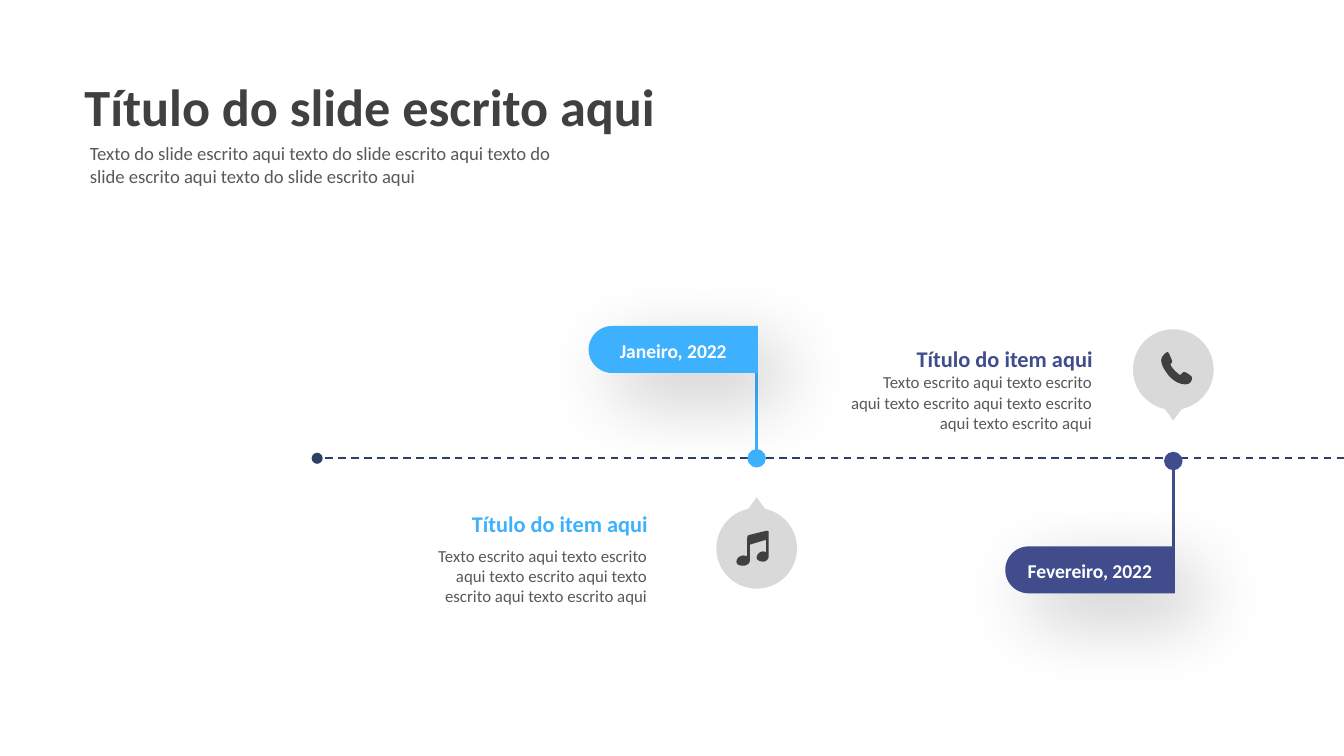
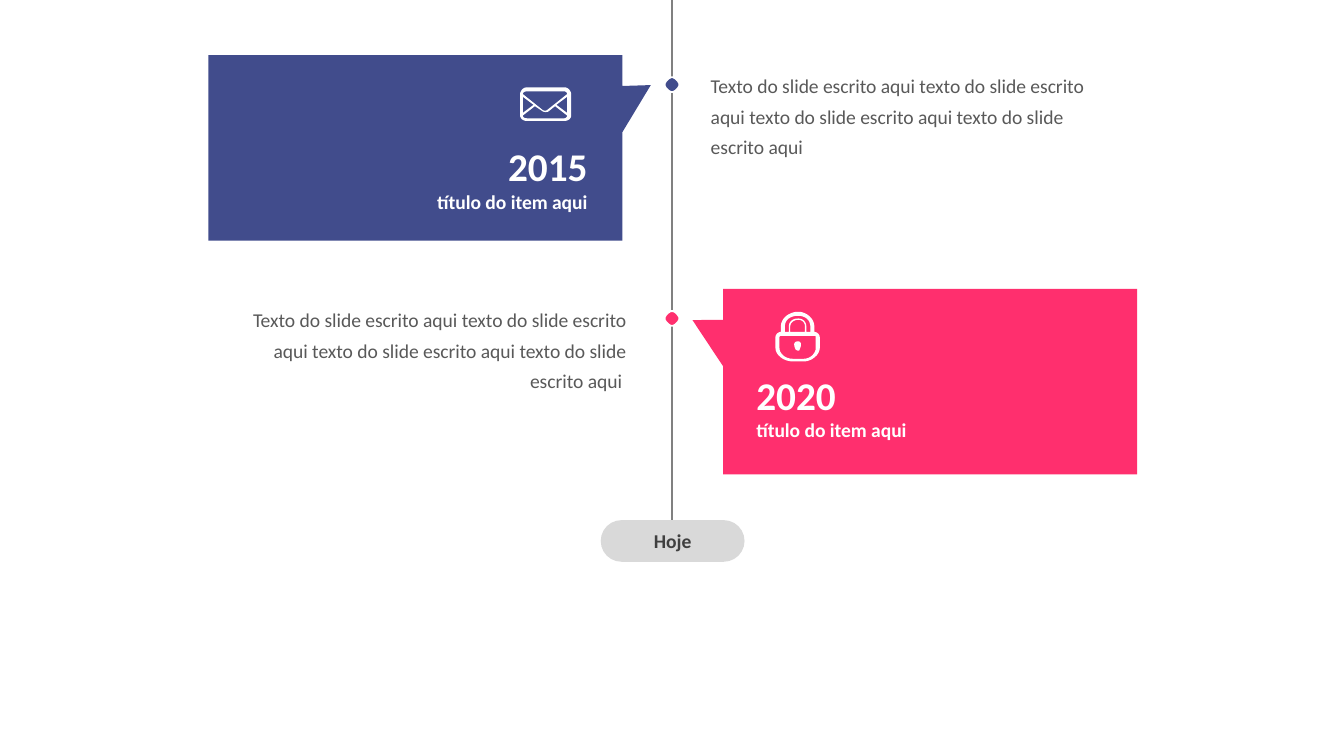
"""Build two timeline slides: a horizontal one by month and a vertical one by year."""
import dataclasses
import math

import pptx
import pptx.dml.color
import pptx.enum.dml
import pptx.enum.shapes
import pptx.enum.text
import pptx.oxml
import pptx.oxml.ns
import pptx.util

Inches = pptx.util.Inches
SHAPES = pptx.enum.shapes.MSO_SHAPE
ALIGN = pptx.enum.text.PP_ALIGN


@dataclasses.dataclass(frozen=True)
class Theme:
    font: str = "Calibri"
    white: str = "FFFFFF"
    dark: str = "404040"
    body: str = "595959"
    rail: str = "808080"
    pale: str = "D9D9D9"
    axis: str = "2C4166"
    sky: str = "3DB1FE"
    indigo: str = "414C8C"
    pink: str = "FF2F6E"
    title_size: float = 28
    year_size: float = 21
    item_size: float = 12
    label_size: float = 10.5
    lead_size: float = 10
    small_size: float = 9


THEME = Theme()

TITLE = "Título do slide escrito aqui"
LEAD = " ".join(["Texto do slide escrito aqui"] + ["texto do slide escrito aqui"] * 3)
ITEM_TITLE = "Título do item aqui"
ITEM_BODY = " ".join(["Texto escrito aqui"] + ["texto escrito aqui"] * 4)
CARD_TITLE = "título do item aqui"

# Outlines in hundredths of an inch: two numbers are a corner, six are a curve.
MUSIC = [
    "570 395, 558 398, 556 398 556 400 556 401, 556 414, 552 412 548 415 548 418,"
    "548 421 552 421 553 421, 556 421 558 419 558 417, 558 406, 558 405 559 405 559 405,"
    "569 402, 570 402, 570 411, 567 409 563 412 563 415, 563 417 566 418 568 418,"
    "570 418 572 416 572 414, 572 396, 572 395 571 395 570 395",
]
PHONE = [
    "887 281, 887 283 886 286 882 286, 877 286 873 283 870 280, 867 276 864 272 864 268,"
    "864 266 867 262 869 262, 870 263 871 266 872 268, 873 270 871 270 871 271,"
    "871 273 876 278 878 279, 879 279 880 276 882 277, 884 278 887 280 887 281",
]
ENVELOPE = [
    "420 65, 392 65, 389 65 387 68 387 70, 387 86, 387 88 389 90 392 90, 420 90,"
    "423 90 425 88 425 86, 425 70, 425 68 423 65 420 65",
    "404 82, 389 70, 389 69 390 68 392 68, 420 68, 421 68 422 69 422 70, 407 82,"
    "406 82.5 405 82.5 404 82",
    "422 84, 414 78, 422 72",
    "389 72, 397 78, 389 84",
    "422 86, 422 87 421 88 420 88, 392 88, 390 88 389 87 389 86, 398 79, 404 83,"
    "405 83.5 407 83.5 408 83, 413 79",
]
PADLOCK = [
    "606 247, 606 243, 606 237 600 232 594 232, 587 232 581 237 581 243, 581 247,"
    "579 247 577 249 577 251, 577 259, 577 264 583 269 590 269, 598 269,"
    "604 269 610 264 610 259, 610 251, 610 249 608 247 606 247",
    "607 251, 607 259, 607 263 603 267 598 267, 590 267, 584 267 580 263 580 259,"
    "580 251, 580 250 581 250 581 250, 606 250, 607 250 607 250 607 251",
    "599 243, 599 247, 588 247, 588 243, 588 240 591 238 594 238, 597 238 599 240 599 243",
    "584 243, 584 238 588 235 594 235, 599 235 603 238 603 243, 603 247, 600 247,"
    "600 243, 600 239 597 237 594 237, 590 237 587 239 587 243, 587 247, 584 247",
    "594 254, 592 254 591 255 591 256, 591 257 591 258 592 260, 592 260 593 261 594 261,"
    "595 261 595 260 595 260, 596 258 596 257 596 256, 596 255 595 254 594 254",
]

MONTHS = [
    dict(label="Janeiro, 2022", color=THEME.sky, x=5.63, flag_y=2.6, stem=(2.43, 3.41),
         pin_y=4.08, tip=-1, title=(3.29, 3.67), body=(2.96, 4.01, 1.95), icon=MUSIC),
    dict(label="Fevereiro, 2022", color=THEME.indigo, x=8.73, flag_y=4.24, stem=(4.41, 3.43),
         pin_y=2.75, tip=1, title=(6.6, 2.44), body=(6.23, 2.72, 1.99), icon=PHONE),
]
YEARS = [
    dict(year="2020", color=THEME.pink, card=(5.38, 2.15), pointer=(-0.574, -0.332),
         text_x=5.53, year_y=2.71, align=ALIGN.LEFT, text=LEAD + " ", body=(1.69, 2.19),
         body_align=ALIGN.RIGHT, dot_y=2.32, icon=PADLOCK),
    dict(year="2015", color=THEME.indigo, card=(1.55, 0.41), pointer=(0.569, -0.338),
         text_x=2.84, year_y=1.01, align=ALIGN.RIGHT, text=LEAD, body=(5.19, 0.45),
         body_align=ALIGN.LEFT, dot_y=0.58, icon=ENVELOPE),
]


def rgb(color):
    return pptx.dml.color.RGBColor.from_string(color)


def write(shape, text, size, color, bold=False, align=ALIGN.LEFT, spacing=None):
    shape.text_frame.word_wrap = True
    shape.text_frame.text = text
    paragraph = shape.text_frame.paragraphs[0]
    paragraph.alignment = align
    if spacing:
        paragraph.line_spacing = spacing
    font = paragraph.runs[0].font
    font.name, font.size, font.bold = THEME.font, pptx.util.Pt(size), bold
    font.color.rgb = rgb(color)


def add_text(slide, box, *args, **style):
    write(slide.shapes.add_textbox(*map(Inches, box)), *args, **style)


def paint(shape, color):
    shape.shadow.inherit = False
    shape.fill.solid()
    shape.fill.fore_color.rgb = rgb(color)
    shape.line.fill.background()


def add_preset(slide, kind, box, color, adjustments):
    shape = slide.shapes.add_shape(kind, *map(Inches, box))
    paint(shape, color)
    for index, value in enumerate(adjustments):
        shape.adjustments[index] = value
    return shape


def drawing_element(tag, attributes="", content=""):
    namespace = pptx.oxml.ns.nsdecls("a")
    return pptx.oxml.parse_xml(f"<a:{tag} {namespace} {attributes}>{content}</a:{tag}>")


def add_line(slide, ends, color, width, dot=None, dashed=False):
    connector = slide.shapes.add_connector(
        pptx.enum.shapes.MSO_CONNECTOR.STRAIGHT, *map(Inches, ends))
    connector.line.color.rgb = rgb(color)
    connector.line.width = pptx.util.Pt(width)
    if dashed:
        connector.line.dash_style = pptx.enum.dml.MSO_LINE.DASH
    if dot:
        connector.line._ln.append(
            drawing_element("tailEnd", f'type="oval" w="{dot}" len="{dot}"'))
    connector._element.spPr.append(drawing_element("effectLst"))


def add_outline(slide, contours, color):
    scaled = [[(Inches(x), Inches(y)) for x, y in contour] for contour in contours]
    builder = slide.shapes.build_freeform(*scaled[0][0], scale=1.0)
    for index, contour in enumerate(scaled):
        if index:
            builder.move_to(*contour[0])
        builder.add_line_segments(contour[1:], close=True)
    paint(builder.convert_to_shape(), color)


def trace(outline, steps=8):
    points = []
    for segment in outline.split(","):
        numbers = [float(number) / 100 for number in segment.split()]
        if len(numbers) == 2:
            points.append(tuple(numbers))
            continue
        controls = [points[-1], *zip(numbers[::2], numbers[1::2])]
        for step in range(1, steps + 1):
            t = step / steps
            weights = [math.comb(3, k) * t**k * (1 - t)**(3 - k) for k in range(4)]
            points.append(tuple(sum(weight * control[axis]
                                    for weight, control in zip(weights, controls))
                                for axis in (0, 1)))
    return points


def add_icon(slide, outlines, color):
    add_outline(slide, [trace(outline) for outline in outlines], color)


def add_pin(slide, x, y, tip, radius=0.3, reach=0.38):
    points = [(x, y + tip * reach)]
    for degrees in range(12, 349, 4):
        angle = math.radians(degrees)
        points.append((x + radius * math.sin(angle), y + tip * radius * math.cos(angle)))
    add_outline(slide, [points], THEME.pale)


def add_flag(slide, x, y, label, color):
    width, height, label_width = 0.35, 1.26, 1.23
    center = x - 0.62
    flag = add_preset(slide, SHAPES.ROUND_2_SAME_RECTANGLE,
                      (center - width / 2, y - height / 2, width, height), color, (0.5, 0))
    flag.rotation = 270
    effects = flag._element.spPr.find(pptx.oxml.ns.qn("a:effectLst"))
    effects.append(drawing_element(
        "outerShdw",
        f'blurRad="{pptx.util.Pt(40)}" dist="{pptx.util.Pt(18)}" dir="2700000" rotWithShape="0"',
        '<a:srgbClr val="000000"><a:alpha val="23000"/></a:srgbClr>'))
    add_text(slide, (center - label_width / 2, y - 0.13, label_width, 0.28), label,
             THEME.label_size, THEME.white, bold=True, align=ALIGN.CENTER)


def build_months(slide):
    add_line(slide, (10, 3.41, 2.36, 3.41), THEME.axis, 1, dot="med", dashed=True)
    for month in MONTHS:
        x, color = month["x"], month["color"]
        start, end = month["stem"]
        add_line(slide, (x, start, x, end), color, 1.5, dot="lg")
        add_flag(slide, x, month["flag_y"], month["label"], color)
        add_text(slide, (*month["title"], 1.63, 0.36), ITEM_TITLE, THEME.item_size, color,
                 bold=True, align=ALIGN.RIGHT, spacing=1.4)
        add_text(slide, (*month["body"], 0.47), ITEM_BODY, THEME.small_size, THEME.body,
                 align=ALIGN.RIGHT)
        add_pin(slide, x, month["pin_y"], month["tip"])
        add_icon(slide, month["icon"], THEME.dark)
    add_text(slide, (0.53, 0.5, 6.09, 0.57), TITLE, THEME.title_size, THEME.dark, bold=True)
    add_text(slide, (0.57, 1.01, 3.81, 0.44), LEAD, THEME.lead_size, THEME.body)


def build_years(slide):
    add_line(slide, (5, 0, 5, 3.87), THEME.rail, 1)
    for item in YEARS:
        color, align = item["color"], item["align"]
        add_preset(slide, SHAPES.RECTANGULAR_CALLOUT, (*item["card"], 3.08, 1.38), color,
                   item["pointer"])
        add_text(slide, (*item["body"], 3.07, 0.78), item["text"], THEME.label_size,
                 THEME.body, align=item["body_align"], spacing=1.3)
        dot = add_preset(slide, SHAPES.ROUNDED_RECTANGLE, (4.95, item["dot_y"], 0.1, 0.1),
                         color, (0.365,))
        dot.rotation = 45
        dot.line.color.rgb = rgb(THEME.white)
        dot.line.width = pptx.util.Pt(1)
        left, top = item["text_x"], item["year_y"]
        add_text(slide, (left, top + 0.3, 1.63, 0.32), CARD_TITLE, THEME.label_size,
                 THEME.white, bold=True, align=align, spacing=1.3)
        add_text(slide, (left, top, 1.63, 0.45), item["year"], THEME.year_size, THEME.white,
                 bold=True, align=align)
        add_icon(slide, item["icon"], THEME.white)
    today = add_preset(slide, SHAPES.ROUNDED_RECTANGLE, (4.47, 3.87, 1.07, 0.31), THEME.pale,
                       (0.5,))
    today.text_frame.vertical_anchor = pptx.enum.text.MSO_ANCHOR.MIDDLE
    write(today, "Hoje", THEME.label_size, THEME.dark, bold=True, align=ALIGN.CENTER)


def main():
    presentation = pptx.Presentation()
    presentation.slide_width = Inches(10)
    presentation.slide_height = presentation.slide_width * 9 // 16
    for build in (build_months, build_years):
        build(presentation.slides.add_slide(presentation.slide_layouts[6]))
    presentation.save("out.pptx")


if __name__ == "__main__":
    main()
